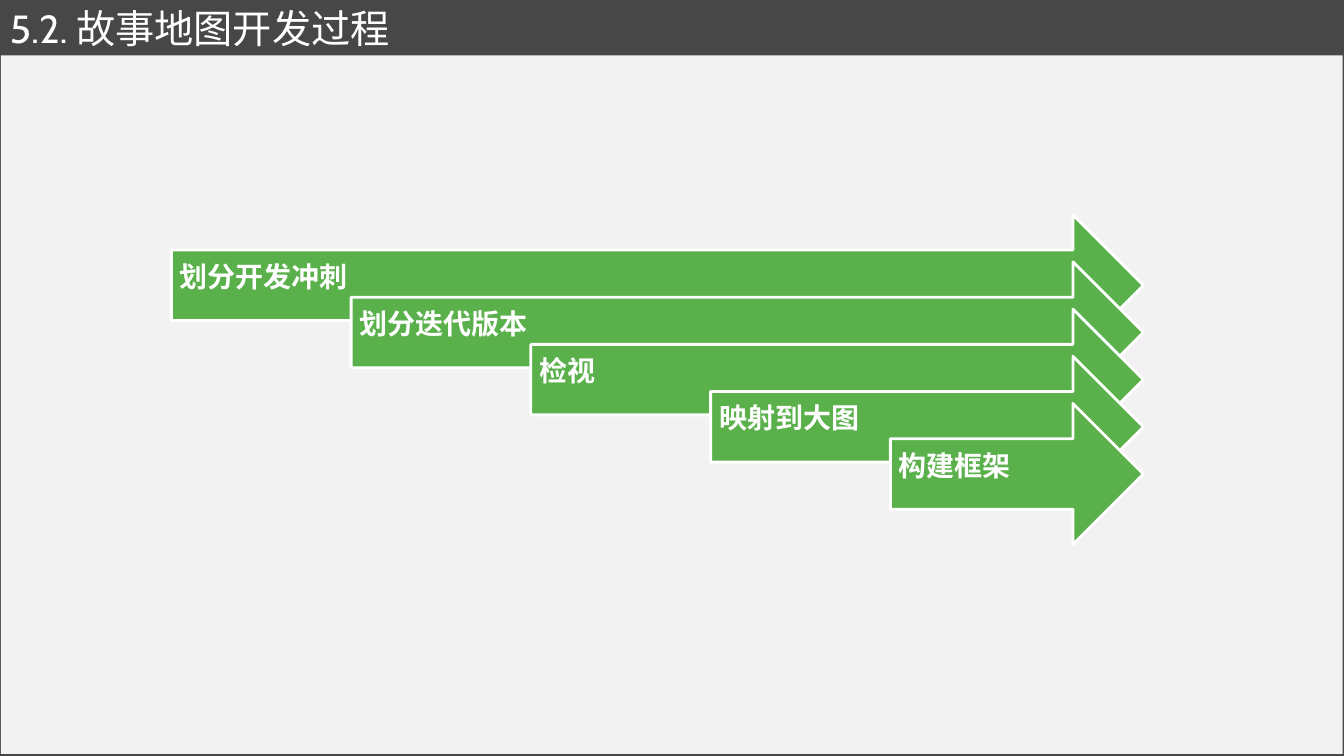
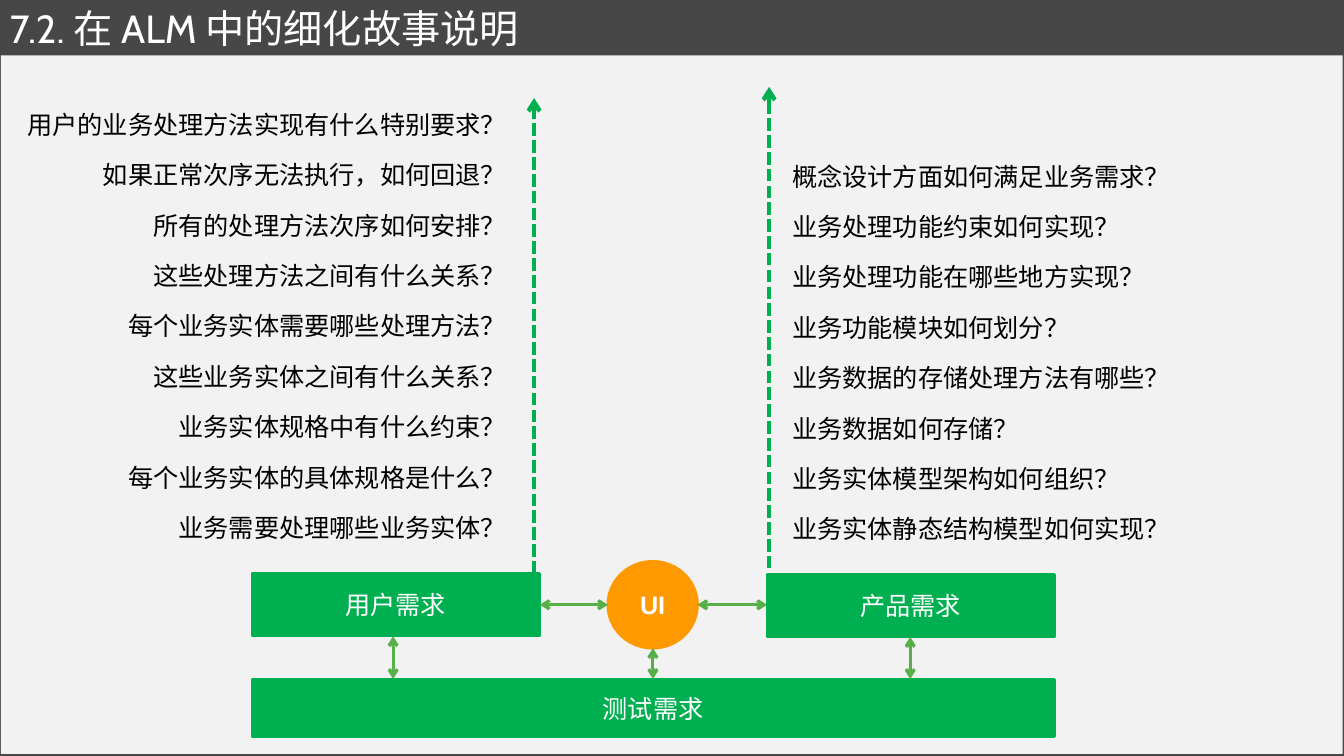
from lxml.etree import SubElement
from pptx import Presentation
from pptx.dml.color import RGBColor
from pptx.enum.dml import MSO_LINE
from pptx.enum.shapes import MSO_CONNECTOR, MSO_SHAPE
from pptx.enum.text import MSO_ANCHOR, PP_ALIGN
from pptx.oxml.ns import qn
from pptx.util import Pt

CHARCOAL = RGBColor(0x47, 0x47, 0x47)
PAPER = RGBColor(0xF2, 0xF2, 0xF2)
WHITE = RGBColor(0xFF, 0xFF, 0xFF)
BLACK = RGBColor(0, 0, 0)
ARROW_GREEN = RGBColor(0x5A, 0xB1, 0x4B)
BOX_GREEN = RGBColor(0, 0xB0, 0x50)
LINK_GREEN = RGBColor(0x56, 0xB0, 0x47)
ORANGE = RGBColor(0xFF, 0x99, 0)

TITLE_FONT = "Cabin"
BODY_FONT = "Arial"
CJK_FONT = "Noto Sans CJK SC"

STEPS = ["划分开发冲刺", "划分迭代版本", "检视", "映射到大图", "构建框架"]
STEP_LEFT, STEP_TOP, STEP_RIGHT, STEP_HEIGHT = 122.4, 153.4, 816.8, 100.8
STEP_DX, STEP_DY = 128.4, 33.7

USER_QUESTIONS = [
    "用户的业务处理方法实现有什么特别要求？",
    "如果正常次序无法执行，如何回退？",
    "所有的处理方法次序如何安排？",
    "这些处理方法之间有什么关系？",
    "每个业务实体需要哪些处理方法？",
    "这些业务实体之间有什么关系？",
    "业务实体规格中有什么约束？",
    "每个业务实体的具体规格是什么？",
    "业务需要处理哪些业务实体？",
]
PRODUCT_QUESTIONS = [
    "概念设计方面如何满足业务需求？",
    "业务处理功能约束如何实现？",
    "业务处理功能在哪些地方实现？",
    "业务功能模块如何划分？",
    "业务数据的存储处理方法有哪些？",
    "业务数据如何存储？",
    "业务实体模型架构如何组织？",
    "业务实体静态结构模型如何实现？",
]
QUESTION_PITCH = 36


def style_text(frame, size, color, font=BODY_FONT, bold=False, align=PP_ALIGN.LEFT):
    for paragraph in frame.paragraphs:
        paragraph.alignment = align
        for run in paragraph.runs:
            run.font.size = Pt(size)
            run.font.name = font
            run.font.bold = bold
            run.font.color.rgb = color
            east_asian = SubElement(run.font._element, qn("a:ea"))
            east_asian.set("typeface", CJK_FONT)


def add_block(slide, kind, box, fill, line=None):
    block = slide.shapes.add_shape(kind, *map(Pt, box))
    block.shadow.inherit = False
    block.fill.solid()
    block.fill.fore_color.rgb = fill
    if line is None:
        block.line.fill.background()
    else:
        block.line.color.rgb = line
        block.line.width = Pt(2)
    return block


def add_content_slide(prs, title):
    slide = prs.slides.add_slide(prs.slide_layouts[6])
    slide.background.fill.solid()
    slide.background.fill.fore_color.rgb = CHARCOAL
    add_block(slide, MSO_SHAPE.RECTANGLE, (0.72, 39.6, 958.4, 499), PAPER)
    band = add_block(slide, MSO_SHAPE.RECTANGLE, (0, 1, 960, 38), CHARCOAL)
    band.text_frame.text = title
    band.text_frame.vertical_anchor = MSO_ANCHOR.MIDDLE
    style_text(band.text_frame, 28, WHITE, TITLE_FONT)
    return slide


def add_step(slide, index, label):
    left = STEP_LEFT + index * STEP_DX
    top = STEP_TOP + index * STEP_DY
    step = add_block(slide, MSO_SHAPE.RIGHT_ARROW,
                     (left, top, STEP_RIGHT - left, STEP_HEIGHT), ARROW_GREEN, WHITE)
    frame = step.text_frame
    frame.text = label
    frame.vertical_anchor = MSO_ANCHOR.MIDDLE
    frame.margin_left = frame.margin_top = Pt(6)
    frame.margin_right, frame.margin_bottom = Pt(20), Pt(16)
    frame.paragraphs[0].line_spacing = 0.9
    frame.paragraphs[0].space_after = Pt(7)
    style_text(frame, 20, WHITE, bold=True)


def add_node(slide, kind, box, label, fill, bold=False):
    node = add_block(slide, kind, box, fill, fill)
    node.text_frame.text = label
    node.text_frame.vertical_anchor = MSO_ANCHOR.MIDDLE
    style_text(node.text_frame, 18, WHITE, bold=bold, align=PP_ALIGN.CENTER)


def add_questions(slide, left, top, width, questions, font, align):
    height = len(questions) * QUESTION_PITCH + 7.2
    frame = slide.shapes.add_textbox(*map(Pt, (left, top, width, height))).text_frame
    frame.word_wrap = True
    frame.text = "\n".join(questions)
    for paragraph in frame.paragraphs:
        paragraph.line_spacing = Pt(QUESTION_PITCH)
    style_text(frame, 18, BLACK, font, align=align)


def add_arrow(slide, start, end, color, width, ends, dash=None):
    arrow = slide.shapes.add_connector(MSO_CONNECTOR.STRAIGHT, *map(Pt, start + end))
    arrow.line.color.rgb = color
    arrow.line.width = Pt(width)
    if dash is not None:
        arrow.line.dash_style = dash
    properties = arrow._element.spPr
    outline = properties.find(qn("a:ln"))
    for end_tag in ends:
        SubElement(outline, qn(end_tag)).set("type", "arrow")
    SubElement(properties, qn("a:effectLst"))


def build_process(prs):
    slide = add_content_slide(prs, "5.2. 故事地图开发过程")
    for index, label in enumerate(STEPS):
        add_step(slide, index, label)


def build_refinement(prs):
    slide = add_content_slide(prs, "7.2. 在 ALM 中的细化故事说明")
    add_questions(slide, 10.8, 60, 357.8, USER_QUESTIONS, BODY_FONT, PP_ALIGN.RIGHT)
    add_questions(slide, 558.7, 97, 300, PRODUCT_QUESTIONS, CJK_FONT, PP_ALIGN.LEFT)

    box = MSO_SHAPE.RECTANGLE
    add_node(slide, box, (180, 409.7, 205.2, 44.6), "用户需求", BOX_GREEN)
    add_node(slide, box, (547.9, 410.4, 205.2, 44.6), "产品需求", BOX_GREEN)
    add_node(slide, MSO_SHAPE.OVAL, (434.2, 401, 64, 62), "UI", ORANGE, bold=True)
    add_node(slide, box, (180, 485.3, 573.1, 41), "测试需求", BOX_GREEN)

    links = [
        ((385.6, 432), (434.2, 432)),
        ((498.2, 432), (547.9, 432)),
        ((280.8, 454.5), (280.8, 485)),
        ((466.4, 463), (466.4, 485)),
        ((650.2, 455), (650.2, 485)),
    ]
    for start, end in links:
        add_arrow(slide, start, end, LINK_GREEN, 2.25, ("a:headEnd", "a:tailEnd"))
    for x, bottom, top in ((381.5, 409.7, 70), (549.4, 406, 62)):
        add_arrow(slide, (x, bottom), (x, top), BOX_GREEN, 3, ("a:tailEnd",),
                  MSO_LINE.SQUARE_DOT)


def main():
    prs = Presentation()
    prs.slide_width, prs.slide_height = Pt(960), Pt(540)
    build_process(prs)
    build_refinement(prs)
    prs.save("out.pptx")


if __name__ == "__main__":
    main()
